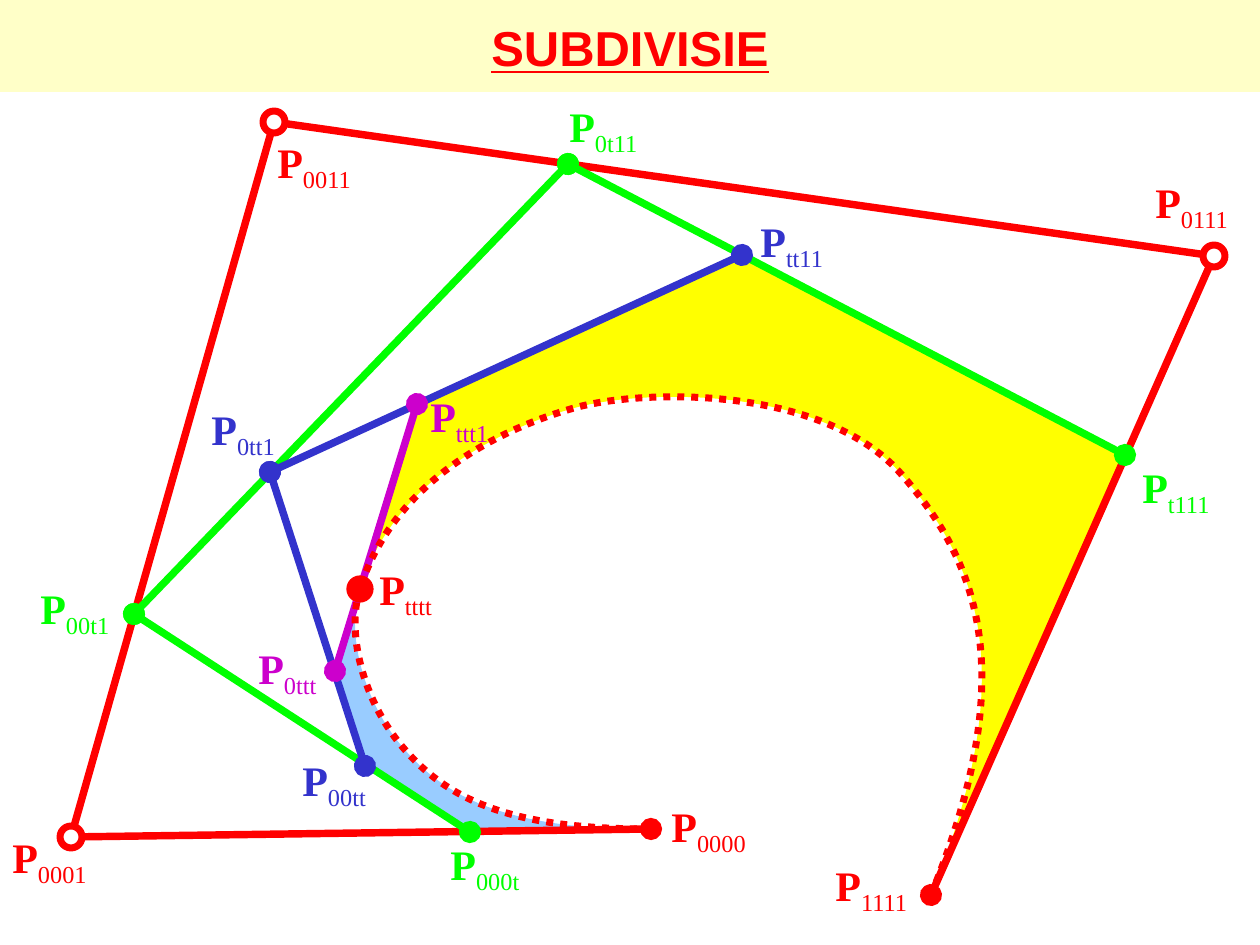
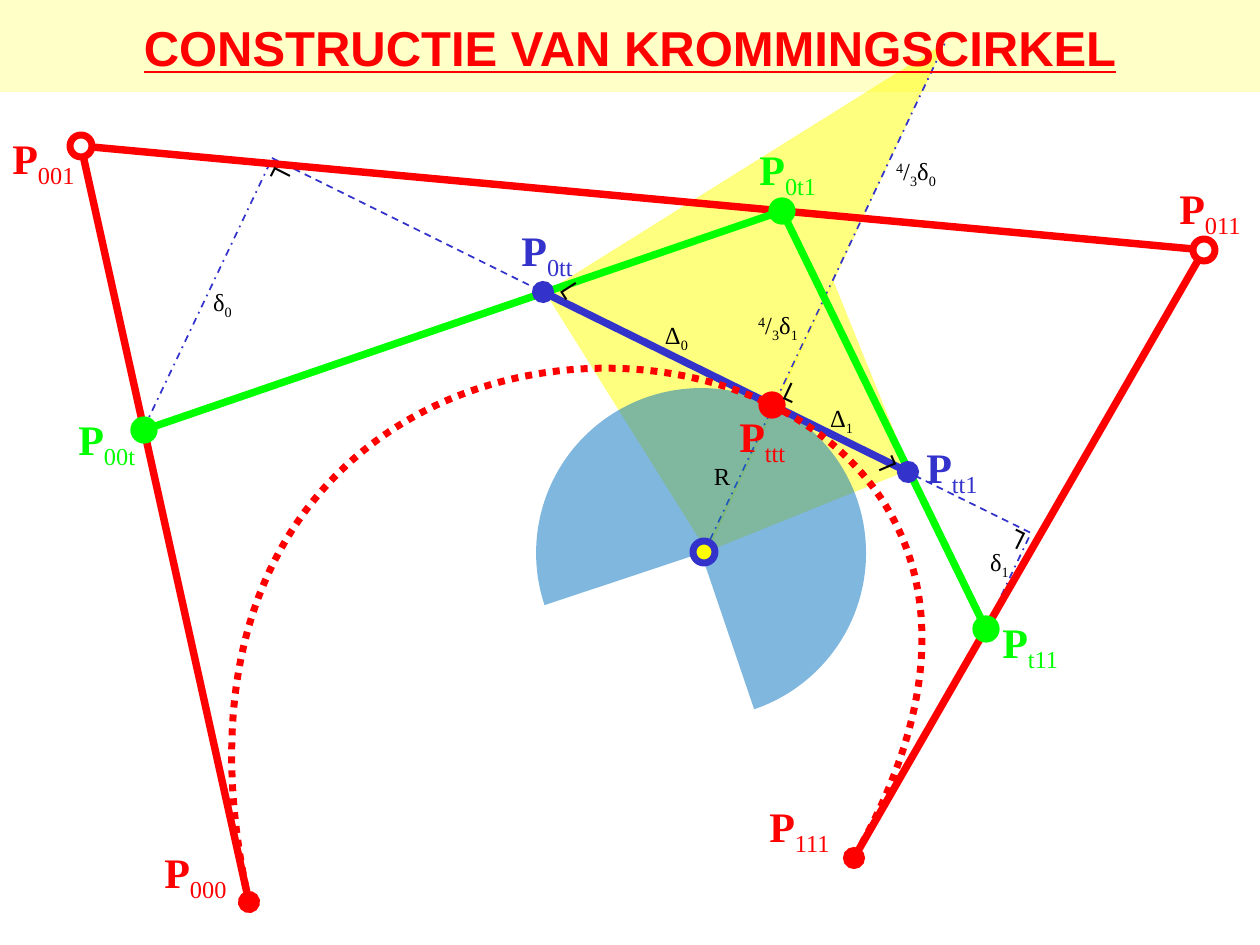
from pptx import Presentation
from pptx.dml.color import RGBColor
from pptx.enum.dml import MSO_LINE
from pptx.enum.shapes import MSO_CONNECTOR, MSO_SHAPE
from pptx.enum.text import MSO_ANCHOR, PP_ALIGN
from pptx.oxml.ns import qn
from pptx.util import Pt
from lxml import etree

LEFT, CENTER = PP_ALIGN.LEFT, PP_ALIGN.CENTER
DASH, DOTDASH, DOTS = MSO_LINE.DASH, MSO_LINE.DASH_DOT, MSO_LINE.ROUND_DOT
RECT, OVAL = MSO_SHAPE.RECTANGLE, MSO_SHAPE.OVAL
WEDGE, PIE = MSO_SHAPE.RIGHT_TRIANGLE, MSO_SHAPE.PIE
STRAIGHT = MSO_CONNECTOR.STRAIGHT


class Theme:
    red, green, blue, purple = "FF0000", "00FF00", "3333CC", "CC00CC"
    yellow, sky, disc = "FFFF00", "99CCFF", "0070C0"
    white, black, cream = "FFFFFF", "000000", "FFFFC8"
    levels = (red, green, blue, purple)
    head, body = "Arial", "Times New Roman"
    title, label, note = 28, 24, 14
    edge, curve, dot, guide = 4.25, 4, 3, 1


SCALE = 914400 / 126  # EMU per px
WIDE, HIGH, BAND = 1260, 945, 92
DOT = 22
SUB, SUP = -25, 30

# Each point: name -> (position, label corner)
QUARTIC = {
    "title": "SUBDIVISIE",
    "label": (227, 64),
    "points": {
        "tttt": ((360, 589), (367, 557)),
        "ttt1": ((417, 404), (418, 384)),
        "0ttt": ((335, 671), (246, 636)),
        "tt11": ((742, 255), (748, 209)),
        "0tt1": ((270, 472), (199, 397)),
        "00tt": ((365, 766), (290, 748)),
        "t111": ((1125, 455), (1130, 455)),
        "0t11": ((568, 164), (557, 94)),
        "00t1": ((134, 614), (28, 576)),
        "000t": ((470, 832), (438, 832)),
        "1111": ((931, 895), (823, 853)),
        "0011": ((274, 122), (265, 130)),
        "0001": ((71, 837), (0, 825)),
        "0000": ((651, 829), (659, 794)),
        "0111": ((1214, 256), (1143, 170)),
    },
    "edges": ["0111 0011", "0001 0011", "0111 1111", "0001 0000",
              "0t11 00t1", "000t 00t1", "0t11 t111",
              "0tt1 tt11", "0tt1 00tt", "ttt1 0ttt"],
    "dots": ["0001", "0011", "0111", "tttt"],
}
# Chains of cubic arcs: a start, then three points for each arc
UPPER = [(931, 895), (1021, 675), (979, 563), (902, 475), (827, 388),
         (653, 388), (578, 407), (504, 427), (394, 479), (360, 589)]
LOWER = [(360, 589), (346, 631), (362, 702), (406, 751),
         (449, 800), (513, 830), (652, 829)]
ABOVE = [(412, 422), (343, 654), (418, 404), (717, 266), (289, 464),
         (742, 255), (1108, 445), (585, 173), (1125, 455),
         (939, 877), (1206, 272), (931, 895)]
BELOW = [(97, 834), (634, 829), (470, 832), (149, 622), (454, 822),
         (365, 767), (275, 488), (360, 752), (334, 672)]

CUBIC = {
    "title": "CONSTRUCTIE VAN KROMMINGSCIRKEL",
    "label": (192, 86),
    "points": {
        "111": ((854, 858), (757, 794)),
        "011": ((1204, 250), (1167, 176)),
        "001": ((81, 146), (0, 126)),
        "000": ((249, 902), (152, 840)),
        "00t": ((144, 430), (66, 407)),
        "0tt": ((543, 292), (509, 218)),
        "tt1": ((908, 472), (914, 435)),
        "ttt": ((772, 405), (727, 404)),
        "t11": ((986, 629), (990, 610)),
        "0t1": ((782, 211), (747, 137)),
    },
    "edges": ["011 001", "011 111", "000 001",
              "0t1 00t", "0t1 t11", "0tt tt1"],
    "dots": ["001", "011", "ttt", "00t", "t11", "0t1"],
}
HUB = (704, 552)
AXIS = ((702, 557), (945, 43))
GUIDES = [((985, 630), (1031, 533), DOTDASH),
          ((272, 158), (1033, 534), DASH),
          ((144, 428), (270, 163), DOTDASH)]
FRAC = [("4", SUP), ("/", 0), ("3", SUB)]
NOTES = [  # left, top, width, runs
    (200, 281, 45, [("δ", 0), ("0", SUB)]),
    (977, 541, 45, [("δ", 0), ("1", SUB)]),
    (701, 455, 42, [("R", 0)]),
    (882, 150, 68, FRAC + [("δ", 0), ("0", SUB)]),
    (744, 304, 68, FRAC + [("δ", 0), ("1", SUB)]),
    (817, 397, 49, [("Δ", 0), ("1", SUB)]),
    (652, 314, 49, [("Δ", 0), ("0", SUB)]),
]
CORNERS = [(860, 434, 246.8), (557, 256, 57.4), (267, 147, 116.9),
           (775, 355, 25.4), (994, 514, 206.5)]


def emu(*vals):
    return [round(v * SCALE) for v in vals]


def rgb(tone):
    return RGBColor.from_string(tone)


def tone(name):
    """Colour by the count of t; a point on the curve is red."""
    count = name.count("t")
    return Theme.red if count == len(name) else Theme.levels[count]


def paint(shape, fill=None, line=None, width=0, alpha=None):
    shape.shadow.inherit = False
    if fill:
        shape.fill.solid()
        shape.fill.fore_color.rgb = rgb(fill)
    else:
        shape.fill.background()
    if alpha:
        node = shape._element.spPr.find(".//" + qn("a:srgbClr"))
        etree.SubElement(node, qn("a:alpha"), val=str(alpha * 1000))
    if line:
        shape.line.color.rgb = rgb(line)
        shape.line.width = Pt(width)
    else:
        shape.line.fill.background()


def block(slide, kind, box, turn=0, **look):
    shape = slide.shapes.add_shape(kind, *emu(*box))
    shape.rotation = turn
    paint(shape, **look)
    return shape


def text(slide, box, runs, size, color, face=Theme.body, align=LEFT, wrap=True):
    """Add a text box; each run is (text, baseline shift)."""
    shape = slide.shapes.add_textbox(*emu(*box))
    frame = shape.text_frame
    frame.word_wrap = wrap
    para = frame.paragraphs[0]
    para.alignment = align
    for part, shift in runs:
        run = para.add_run()
        run.text = part
        run.font.name, run.font.size = face, Pt(size)
        run.font.color.rgb = rgb(color)
        if shift:
            run.font._element.set("baseline", str(shift * 1000))
    return shape


def rule(slide, start, end, color, width, dash=None, ends=(False, False)):
    line = slide.shapes.add_connector(STRAIGHT, *emu(*start, *end))
    line.line.color.rgb = rgb(color)
    line.line.width = Pt(width)
    if dash:
        line.line.dash_style = dash
    props = line._element.spPr
    for tag, shown in zip(("a:headEnd", "a:tailEnd"), ends):
        if shown:
            etree.SubElement(props.find(qn("a:ln")), qn(tag), type="oval")
    etree.SubElement(props, qn("a:effectLst"))


def trace(slide, chain, close=False, **look):
    """Draw a chain of cubic arcs as one outline."""
    spots = [emu(*p) for p in chain]
    pen = slide.shapes.build_freeform(*spots[0], scale=1)
    pen.add_line_segments(spots[1:], close=close)
    shape = pen.convert_to_shape()
    legs = list(shape._element.iter(qn("a:lnTo")))
    for i in range(0, len(chain) - 1, 3):
        arc = etree.Element(qn("a:cubicBezTo"))
        legs[i].addprevious(arc)
        for leg in legs[i:i + 3]:
            arc.append(leg[0])
            leg.getparent().remove(leg)
    paint(shape, **look)
    return shape


def curve(slide, chain):
    shape = trace(slide, chain, line=Theme.red, width=Theme.curve)
    shape.line.dash_style = DOTS


def dot(slide, spot, color, fill):
    x, y = spot
    width = Theme.dot if fill == color else Theme.curve
    block(slide, OVAL, (x - DOT / 2, y - DOT / 2, DOT, DOT),
          fill=fill, line=color, width=width)


def start(deck):
    slide = deck.slides.add_slide(deck.slide_layouts[6])
    block(slide, RECT, (0, 0, WIDE, BAND), fill=Theme.cream)
    return slide


def heading(slide, words):
    shape = text(slide, (0, 0, WIDE, 94), [(words, 0)], Theme.title,
                 Theme.red, Theme.head, CENTER)
    shape.text_frame.vertical_anchor = MSO_ANCHOR.MIDDLE
    font = shape.text_frame.paragraphs[0].runs[0].font
    font.bold = font.underline = True


def diagram(slide, data):
    """Draw title, labels, edges and dots; edges end in ovals where no dot is."""
    points, dots = data["points"], data["dots"]
    heading(slide, data["title"])
    for name, (_, corner) in points.items():
        shape = text(slide, (*corner, *data["label"]), [("P", 0), (name, SUB)],
                     Theme.label, tone(name))
        shape.text_frame.paragraphs[0].runs[0].font.bold = True
    for edge in data["edges"]:
        a, b = edge.split()
        rule(slide, points[a][0], points[b][0], tone(a), Theme.edge,
             ends=(a not in dots, b not in dots))
    for name in dots:
        fill = tone(name) if "t" in name else Theme.white
        dot(slide, points[name][0], tone(name), fill)


def subdivision(deck):
    slide = start(deck)
    trace(slide, LOWER + BELOW, fill=Theme.sky)
    trace(slide, UPPER + ABOVE, close=True, fill=Theme.yellow)
    diagram(slide, QUARTIC)
    curve(slide, UPPER)
    curve(slide, LOWER)


def curvature(deck):
    slide = start(deck)
    glass = {"fill": Theme.yellow, "alpha": 50}
    block(slide, WEDGE, (673, 62, 306, 471), 58, **glass)
    rule(slide, *AXIS, Theme.blue, Theme.guide, DOTDASH)
    block(slide, WEDGE, (667, 306, 204, 221), 248, **glass)
    disc = block(slide, PIE, (536, 388, 330, 330), 206, fill=Theme.disc, alpha=50)
    disc.adjustments[0], disc.adjustments[1] = 189.35, 135.14
    for a, b, dash in GUIDES:
        rule(slide, a, b, Theme.blue, Theme.guide, dash)
    diagram(slide, CUBIC)
    curve(slide, [CUBIC["points"][n][0] for n in ("000", "001", "011", "111")])
    dot(slide, HUB, Theme.blue, Theme.yellow)
    for x, y, wide, runs in NOTES:
        text(slide, (x, y, wide, 43), runs, Theme.note, Theme.black,
             align=CENTER, wrap=False)
    for x, y, turn in CORNERS:
        mark = text(slide, (x, y, 39, 64), [("˪", 0)], Theme.label, Theme.black,
                    align=CENTER, wrap=False)
        mark.rotation = turn


def main():
    deck = Presentation()
    deck.slide_width, deck.slide_height = emu(WIDE, HIGH)
    subdivision(deck)
    curvature(deck)
    deck.save("out.pptx")


if __name__ == "__main__":
    main()
